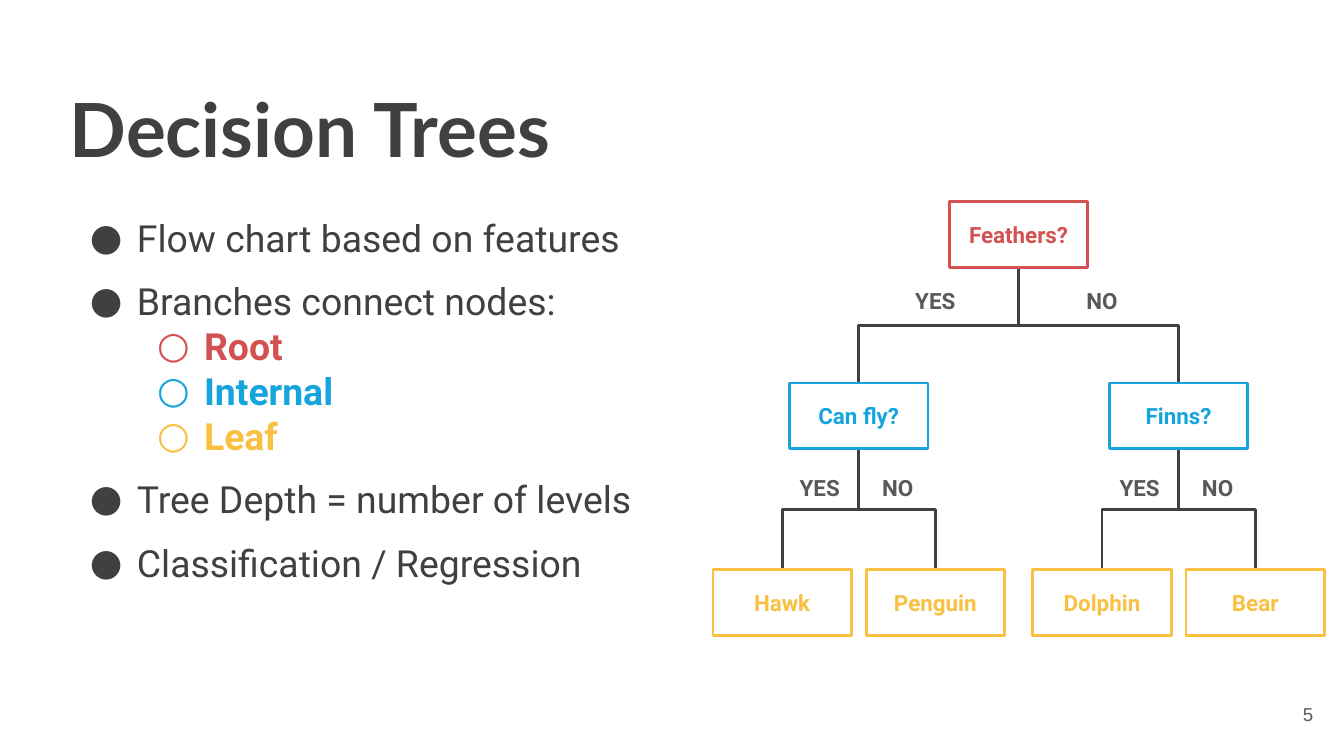
"""Build the decision trees slide: a bulleted summary beside a tree diagram."""
from dataclasses import dataclass

from lxml.etree import SubElement
from pptx import Presentation
from pptx.dml.color import RGBColor
from pptx.enum.shapes import MSO_CONNECTOR as Connector, MSO_SHAPE as Shape
from pptx.enum.text import MSO_ANCHOR as Anchor, MSO_AUTO_SIZE as AutoSize, PP_ALIGN as Align
from pptx.oxml.ns import qn
from pptx.util import Inches, Pt

COLORS = {
    "text": "404040",
    "muted": "595959",
    "root": "D35251",
    "root_text": "D45152",
    "internal": "16A4DD",
    "leaf": "F9C042",
}
BOX_WIDTH, BOX_HEIGHT = 1.03, 0.49
LABEL_WIDTH, LABEL_HEIGHT = 0.6, 0.4
ROOT_CENTER = 7.58


@dataclass(frozen=True)
class Level:
    color: str
    top: float
    spread: float = 0
    label_offset: float = 0
    label_top: float = 0


@dataclass(frozen=True)
class Node:
    text: str
    children: tuple["Node", ...] = ()


@dataclass(frozen=True)
class Bullet:
    text: str
    color: str = "text"
    level: int = 0


LEVELS = (
    Level("root", 1.5, 1.19, 0.62, 2.04),
    Level("internal", 2.85, 0.57, 0.29, 3.43),
    Level("leaf", 4.24),
)
TREE = Node("Feathers?", (
    Node("Can fly?", (Node("Hawk"), Node("Penguin"))),
    Node("Finns?", (Node("Dolphin"), Node("Bear"))),
))
BULLETS = (
    Bullet("Flow chart based on features"),
    Bullet("Branches connect nodes:"),
    Bullet("Root", "root_text", 1),
    Bullet("Internal", "internal", 1),
    Bullet("Leaf", "leaf", 1),
    Bullet("Tree Depth = number of levels"),
    Bullet("Classification / Regression"),
)


def rgb(color: str) -> RGBColor:
    return RGBColor.from_string(COLORS[color])


def style_frame(frame, anchor=Anchor.TOP) -> None:
    frame.word_wrap = True
    frame.auto_size = AutoSize.NONE
    frame.vertical_anchor = anchor
    frame.margin_left = frame.margin_right = Inches(0.1)
    frame.margin_top = frame.margin_bottom = Inches(0.1)


def style_paragraph(paragraph, font: str, size: float, color: str,
                    bold: bool = False, align=Align.LEFT) -> None:
    paragraph.alignment = align
    for run in paragraph.runs:
        run.font.name = font
        run.font.size = Pt(size)
        run.font.bold = bold
        run.font.color.rgb = rgb(color)


def add_text(slide, text: str, left: float, top: float, width: float, height: float):
    shape = slide.shapes.add_textbox(Inches(left), Inches(top), Inches(width), Inches(height))
    shape.text_frame.text = text
    style_frame(shape.text_frame)
    return shape


def add_title(slide) -> None:
    title = slide.shapes.title
    title.left, title.top = Inches(0.42), Inches(0.52)
    title.width, title.height = Inches(7.89), Inches(0.63)
    title.text_frame.text = "Decision Trees"
    style_frame(title.text_frame)
    style_paragraph(title.text_frame.paragraphs[0], "Lato", 40, "text", True)


def add_bullet_mark(paragraph, bullet: Bullet) -> None:
    properties = paragraph._p.get_or_add_pPr()
    properties.set("marL", str(Inches(0.5 * (bullet.level + 1))))
    properties.set("indent", str(Inches(-0.35)))
    mark_color = SubElement(properties, qn("a:buClr"))
    SubElement(mark_color, qn("a:srgbClr"), val=COLORS[bullet.color])
    SubElement(properties, qn("a:buFont"), typeface="Roboto")
    SubElement(properties, qn("a:buChar"), char="○" if bullet.level else "●")


def add_bullets(slide, bullets: tuple[Bullet, ...]) -> None:
    text = "\n".join(bullet.text for bullet in bullets)
    frame = add_text(slide, text, 0.42, 1.5, 4.89, 4.07).text_frame
    for index, (paragraph, bullet) in enumerate(zip(frame.paragraphs, bullets)):
        add_bullet_mark(paragraph, bullet)
        paragraph.level = bullet.level
        paragraph.space_before = Pt(10 if index and not bullet.level else 0)
        style_paragraph(paragraph, "Roboto", 20, bullet.color, bullet.level > 0)


def add_box(slide, text: str, center: float, level: Level):
    box = slide.shapes.add_shape(
        Shape.RECTANGLE, Inches(center - BOX_WIDTH / 2), Inches(level.top),
        Inches(BOX_WIDTH), Inches(BOX_HEIGHT))
    box.shadow.inherit = False
    box.fill.background()
    box.line.color.rgb = rgb(level.color)
    box.line.width = Pt(1.5)
    box.text_frame.text = text
    style_frame(box.text_frame, Anchor.MIDDLE)
    style_paragraph(box.text_frame.paragraphs[0], "Roboto", 12, level.color, True, Align.CENTER)
    return box


def add_branch(slide, parent, child) -> None:
    branch = slide.shapes.add_connector(Connector.ELBOW, 0, 0, 0, 0)
    branch.begin_connect(parent, 2)
    branch.end_connect(child, 0)
    start_x, start_y, end_x, end_y = branch.begin_x, branch.begin_y, branch.end_x, branch.end_y
    drop, span = end_y - start_y, abs(end_x - start_x)
    goes_right = end_x > start_x
    branch.left = (start_x + end_x - drop) // 2
    branch.top = (start_y + end_y - span) // 2
    branch.width, branch.height = drop, span
    transform = branch.element.spPr.find(qn("a:xfrm"))
    transform.set("rot", str((270 if goes_right else 90) * 60000))
    transform.set("flipH", "1" if goes_right else "0")
    transform.set("flipV", "0")
    branch.line.color.rgb = rgb("text")
    branch.line.width = Pt(1.5)
    SubElement(branch.element.spPr, qn("a:effectLst"))
    branch.element.getparent().insert(2, branch.element)


def add_answer(slide, text: str, center: float, top: float) -> None:
    label = add_text(slide, text, center - LABEL_WIDTH / 2, top, LABEL_WIDTH, LABEL_HEIGHT)
    style_paragraph(label.text_frame.paragraphs[0], "Roboto", 12, "muted", True, Align.CENTER)


def add_tree(slide, node: Node, center: float, depth: int = 0):
    level = LEVELS[depth]
    box = add_box(slide, node.text, center, level)
    for child, answer, side in zip(node.children, ("YES", "NO"), (-1, 1)):
        child_box = add_tree(slide, child, center + side * level.spread, depth + 1)
        add_branch(slide, box, child_box)
        add_answer(slide, answer, center + side * level.label_offset, level.label_top)
    return box


def add_page_number(slide) -> None:
    frame = add_text(slide, "5", 9.27, 5.1, 0.6, 0.43).text_frame
    frame.vertical_anchor = Anchor.MIDDLE
    style_paragraph(frame.paragraphs[0], "Arial", 10, "muted", align=Align.RIGHT)


def main() -> None:
    presentation = Presentation()
    presentation.slide_width = Inches(10)
    presentation.slide_height = presentation.slide_width * 9 // 16
    slide = presentation.slides.add_slide(presentation.slide_layouts[5])
    add_title(slide)
    add_page_number(slide)
    add_tree(slide, TREE, ROOT_CENTER)
    add_bullets(slide, BULLETS)
    presentation.save("out.pptx")


if __name__ == "__main__":
    main()
